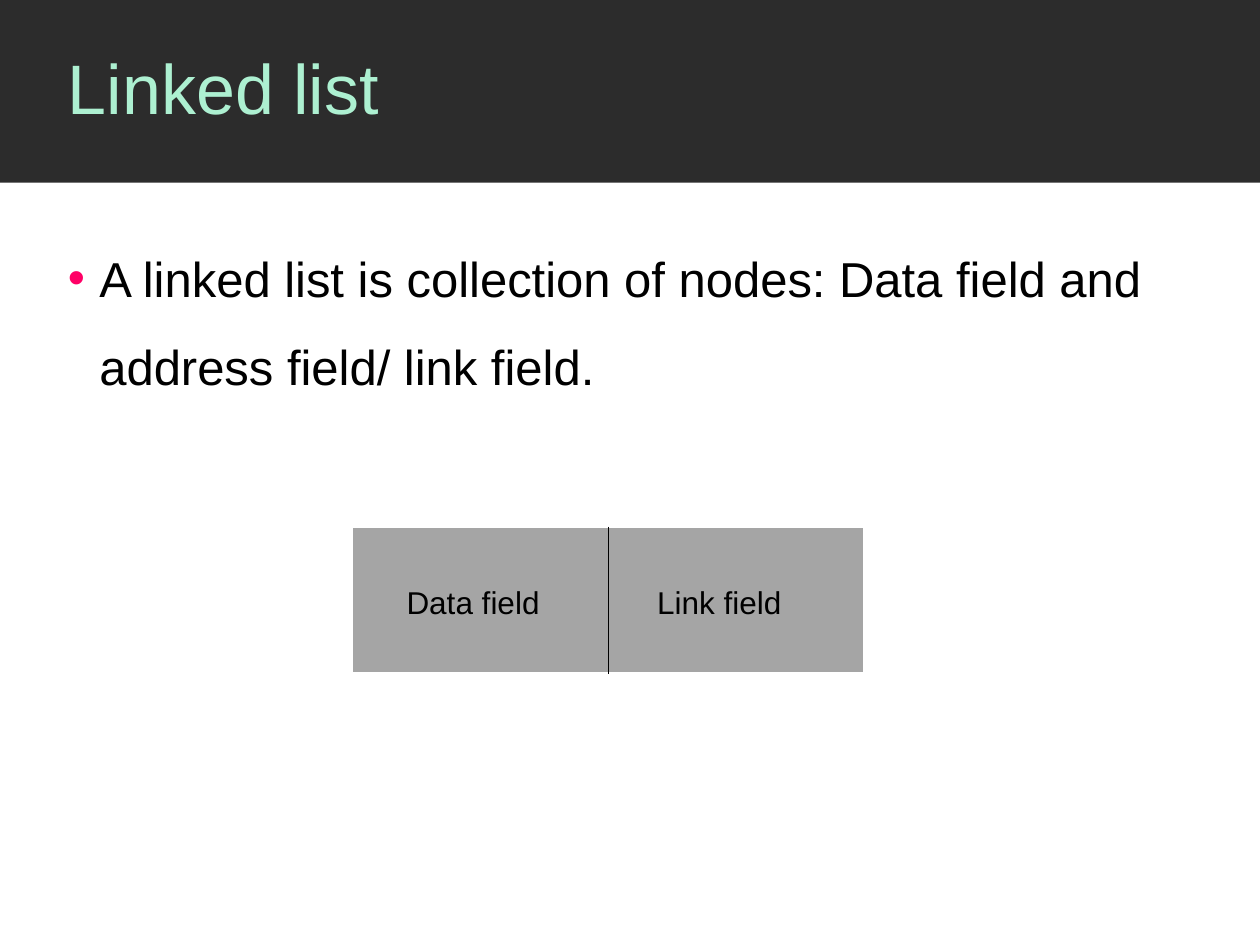
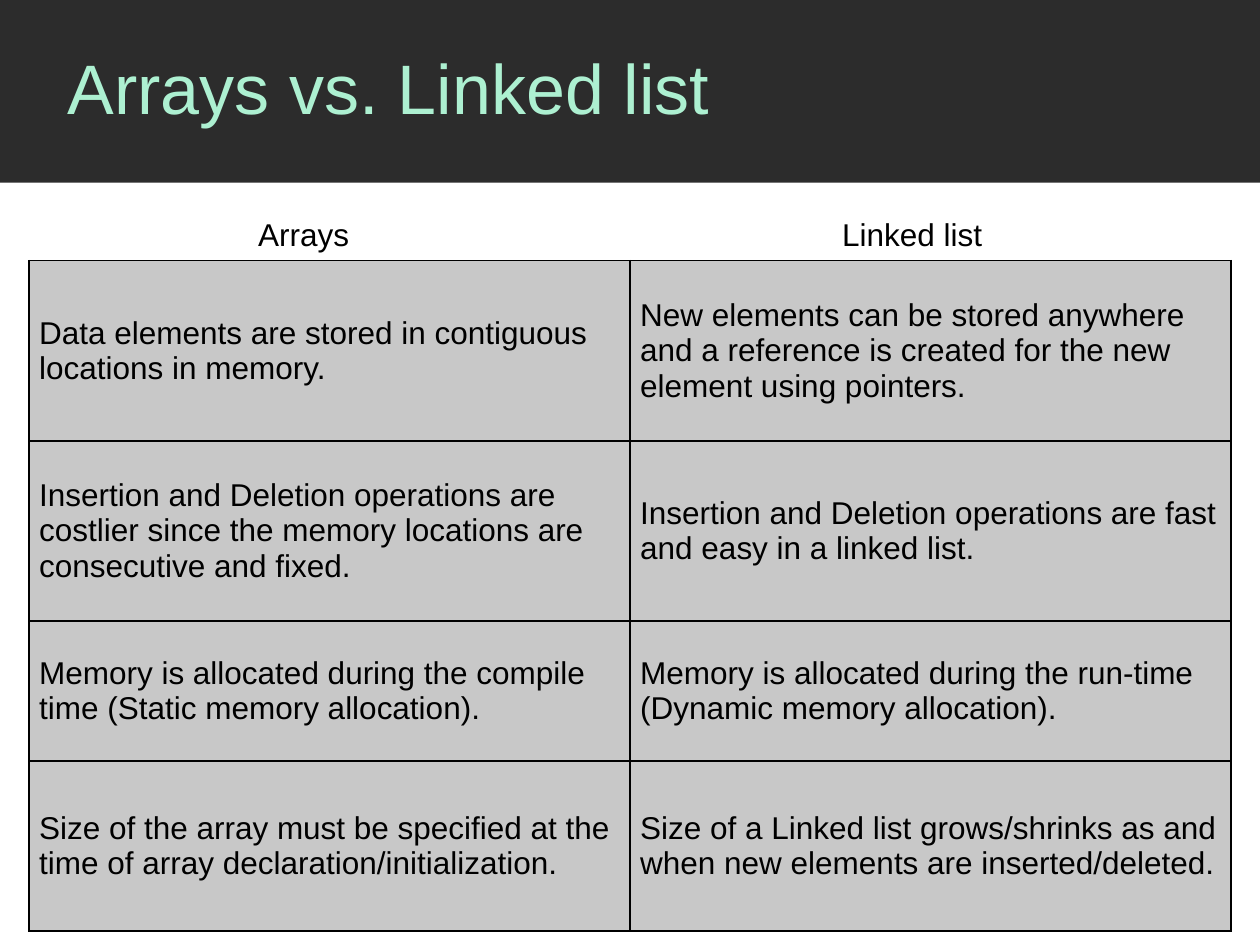
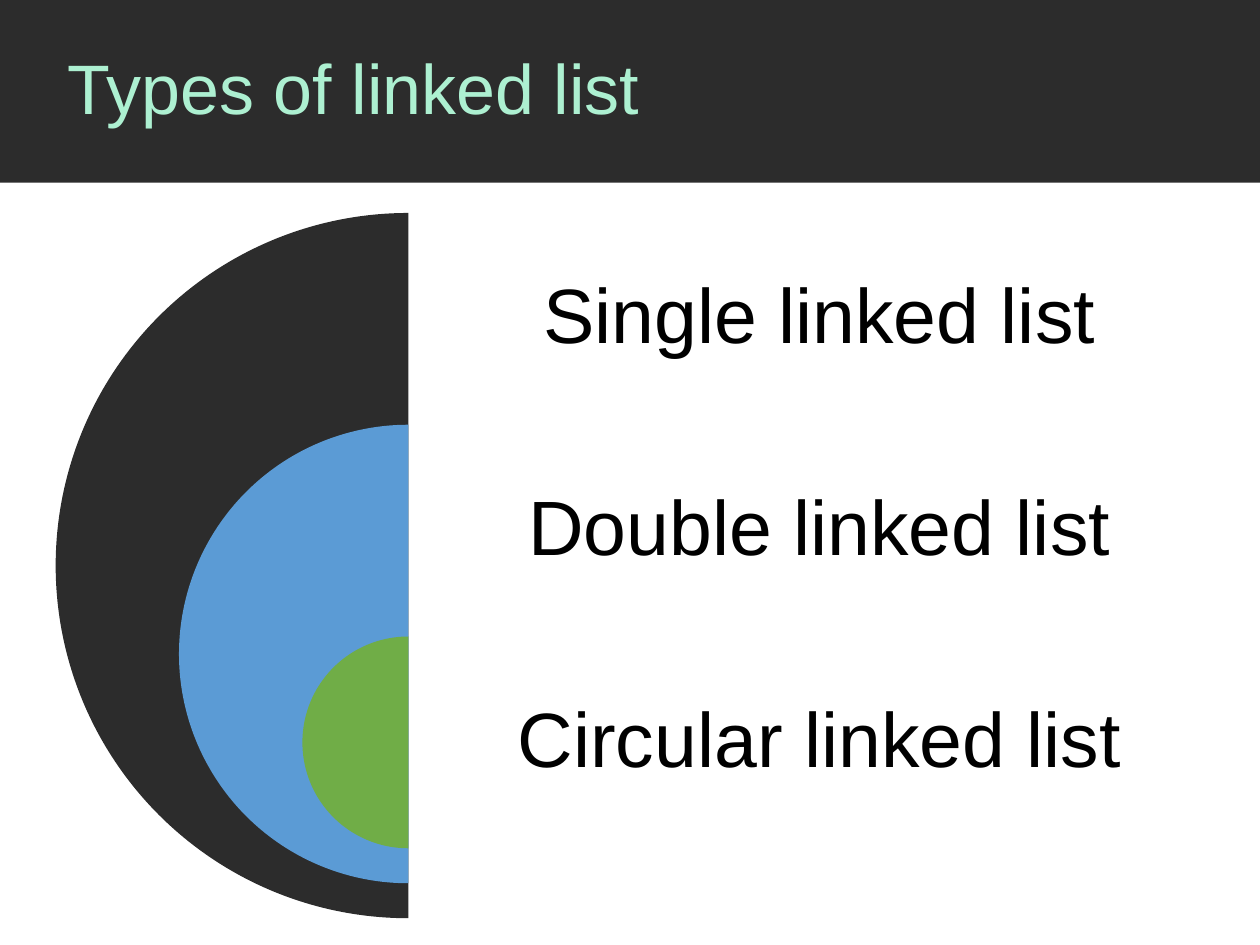
from typing import NamedTuple

from lxml.etree import SubElement
from pptx import Presentation
from pptx.dml.color import RGBColor
from pptx.enum.shapes import MSO_CONNECTOR, MSO_SHAPE
from pptx.enum.text import MSO_ANCHOR as Anchor, PP_ALIGN as Align
from pptx.oxml.ns import qn
from pptx.presentation import Presentation as Deck
from pptx.shapes.autoshape import Shape
from pptx.slide import Slide
from pptx.table import _Cell as Cell
from pptx.text.text import _Paragraph as Paragraph
from pptx.util import Pt

CHARCOAL = RGBColor(0x2C, 0x2C, 0x2C)
MINT = RGBColor(0xAD, 0xF0, 0xD1)
BLACK = RGBColor(0x00, 0x00, 0x00)
WHITE = RGBColor(0xFF, 0xFF, 0xFF)
NODE_GREY = RGBColor(0xA5, 0xA5, 0xA5)
CELL_GREY = RGBColor(0xC8, 0xC8, 0xC8)
BLUE = RGBColor(0x5B, 0x9B, 0xD5)
GREEN = RGBColor(0x70, 0xAD, 0x47)
BULLET_PINK = "FF0066"

FONT = "Arial"
SLIDE_WIDTH, SLIDE_HEIGHT = 720, 540
BAND_HEIGHT = 104.4
MARGIN = 31.7
CONTENT_TOP = 121.7
CONTENT_WIDTH = 671.8


class Box(NamedTuple):
    left: float
    top: float
    width: float
    height: float


class ListType(NamedTuple):
    name: str
    color: RGBColor


class Comparison(NamedTuple):
    arrays: str
    linked_list: str
    height: float


LIST_TYPES = [
    ListType("Single linked list", CHARCOAL),
    ListType("Double linked list", BLUE),
    ListType("Circular linked list", GREEN),
]

COMPARISONS = [
    Comparison(
        "Data elements are stored in contiguous locations in memory.",
        "New elements can be stored anywhere and a reference is created "
        "for the new element using pointers.",
        103,
    ),
    Comparison(
        "Insertion and Deletion operations are costlier since the memory "
        "locations are consecutive and fixed.",
        "Insertion and Deletion operations are fast and easy in a linked list.",
        103,
    ),
    Comparison(
        "Memory is allocated during the compile time (Static memory allocation).",
        "Memory is allocated during the run-time (Dynamic memory allocation).",
        80,
    ),
    Comparison(
        "Size of the array must be specified at the time of array "
        "declaration/initialization.",
        "Size of a Linked list grows/shrinks as and when new elements are "
        "inserted/deleted.",
        97,
    ),
]


def points(box: Box) -> list[Pt]:
    return [Pt(length) for length in box]


def style(paragraph: Paragraph, size: float, color: RGBColor = BLACK) -> None:
    font = paragraph.font
    font.name, font.size = FONT, Pt(size)
    font.color.rgb = color


def add_text(
    slide: Slide,
    box: Box,
    text: str,
    size: float = 18,
    color: RGBColor = BLACK,
    align: Align = Align.LEFT,
    anchor: Anchor = Anchor.TOP,
    spacing: float = 1.0,
) -> Paragraph:
    frame = slide.shapes.add_textbox(*points(box)).text_frame
    frame.word_wrap = True
    frame.vertical_anchor = anchor
    paragraph = frame.paragraphs[0]
    paragraph.text = text
    paragraph.alignment = align
    paragraph.line_spacing = spacing
    style(paragraph, size, color)
    return paragraph


def add_filled(slide: Slide, kind: MSO_SHAPE, box: Box, color: RGBColor) -> Shape:
    shape = slide.shapes.add_shape(kind, *points(box))
    shape.shadow.inherit = False
    shape.fill.solid()
    shape.fill.fore_color.rgb = color
    shape.line.fill.background()
    return shape


def add_titled_slide(deck: Deck, title: str) -> Slide:
    slide = deck.slides.add_slide(deck.slide_layouts[6])
    band = Box(0, 0, SLIDE_WIDTH, BAND_HEIGHT)
    add_filled(slide, MSO_SHAPE.RECTANGLE, band, CHARCOAL)
    title_box = Box(MARGIN, 0, SLIDE_WIDTH - MARGIN, BAND_HEIGHT)
    add_text(slide, title_box, title, 40, MINT, anchor=Anchor.MIDDLE, spacing=0.9)
    return slide


def add_bullet(paragraph: Paragraph, indent: float) -> None:
    properties = paragraph._p.get_or_add_pPr()
    properties.set("marL", str(Pt(indent)))
    properties.set("indent", str(-Pt(indent)))
    bullet_color = SubElement(properties, qn("a:buClr"))
    SubElement(bullet_color, qn("a:srgbClr"), val=BULLET_PINK)
    SubElement(properties, qn("a:buFont"), typeface=FONT)
    SubElement(properties, qn("a:buChar"), char="•")
    style(paragraph, 28)


def add_borders(cell: Cell) -> None:
    properties = cell._tc.get_or_add_tcPr()
    for side in ("lnL", "lnR", "lnT", "lnB"):
        border = SubElement(properties, qn(f"a:{side}"), w=str(Pt(1)))
        fill = SubElement(border, qn("a:solidFill"))
        SubElement(fill, qn("a:srgbClr"), val=str(BLACK))


def fill_cell(cell: Cell, text: str) -> None:
    cell.text = text
    cell.vertical_anchor = Anchor.MIDDLE
    cell.margin_left = cell.margin_right = Pt(5.76)
    cell.margin_top = cell.margin_bottom = Pt(5.76)
    style(cell.text_frame.paragraphs[0], 18)
    add_borders(cell)
    cell.fill.solid()
    cell.fill.fore_color.rgb = CELL_GREY


def build_definition(deck: Deck) -> None:
    slide = add_titled_slide(deck, "Linked list")
    definition = add_text(
        slide,
        Box(MARGIN, CONTENT_TOP, CONTENT_WIDTH, 403),
        "A linked list is collection of nodes: Data field and address field/ link field.",
        28,
        spacing=1.5,
    )
    add_bullet(definition, 18)

    node = add_filled(slide, MSO_SHAPE.RECTANGLE, Box(201, 301, 293, 84), NODE_GREY)
    node.line.color.rgb = WHITE
    node.line.width = Pt(1.5)
    divider = slide.shapes.add_connector(MSO_CONNECTOR.STRAIGHT, 0, 0, 0, 0)
    divider.begin_connect(node, 0)
    divider.end_connect(node, 2)
    divider.line.color.rgb = BLACK
    divider.line.width = Pt(0.5)
    SubElement(divider._element.spPr, qn("a:effectLst"))
    for left, field in ((225.2, "Data field"), (368.4, "Link field")):
        add_text(slide, Box(left, 329.6, 104.4, 29), field)


def build_comparison(deck: Deck) -> None:
    slide = add_titled_slide(deck, "Arrays vs. Linked list")
    total_height = sum(comparison.height for comparison in COMPARISONS)
    table = slide.shapes.add_table(
        len(COMPARISONS), 2, *points(Box(16.6, 149, 687, total_height))
    ).table
    table.first_row = table.horz_banding = False
    for row, comparison in zip(table.rows, COMPARISONS):
        row.height = Pt(comparison.height)
        fill_cell(row.cells[0], comparison.arrays)
        fill_cell(row.cells[1], comparison.linked_list)
    for left, heading in ((62, "Arrays"), (409.7, "Linked list")):
        add_text(slide, Box(left, 119.5, 223, 29), heading, align=Align.CENTER)


def build_types(deck: Deck) -> None:
    slide = add_titled_slide(deck, "Types of linked list")
    axis, step, outer, shrink = 233.3, 121, 403, 141
    for index, list_type in enumerate(LIST_TYPES):
        top = CONTENT_TOP + index * step
        diameter = outer - index * shrink
        circle = Box(axis - diameter / 2, top, diameter, diameter)
        half_disc = add_filled(slide, MSO_SHAPE.PIE, circle, list_type.color)
        half_disc.adjustments[0] = 54
        half_disc.adjustments[1] = 162
        add_text(
            slide,
            Box(axis, top, 470, step),
            list_type.name,
            44,
            align=Align.CENTER,
            anchor=Anchor.MIDDLE,
            spacing=0.9,
        )


def main() -> None:
    deck = Presentation()
    deck.slide_width, deck.slide_height = Pt(SLIDE_WIDTH), Pt(SLIDE_HEIGHT)
    build_definition(deck)
    build_comparison(deck)
    build_types(deck)
    deck.save("out.pptx")


if __name__ == "__main__":
    main()
